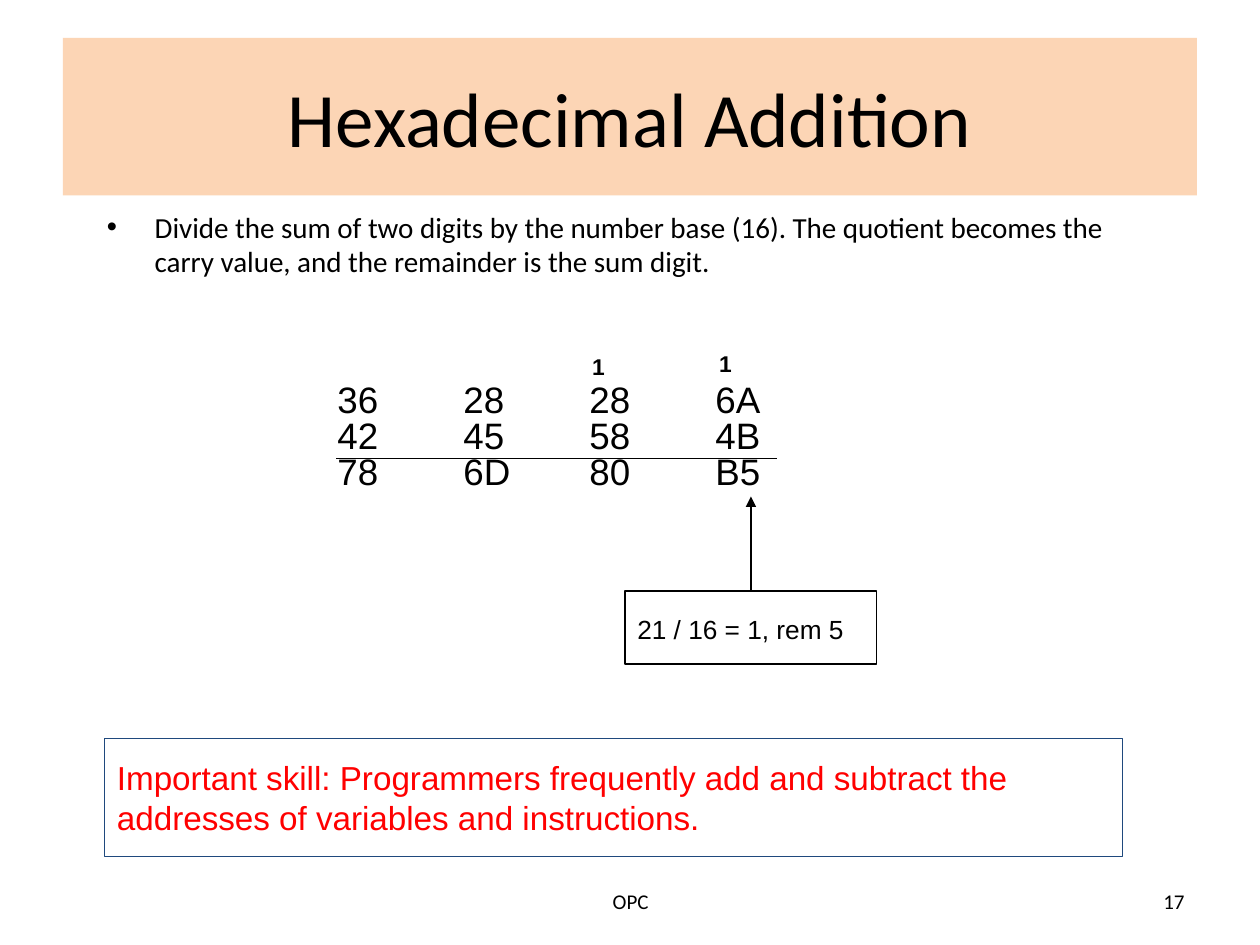
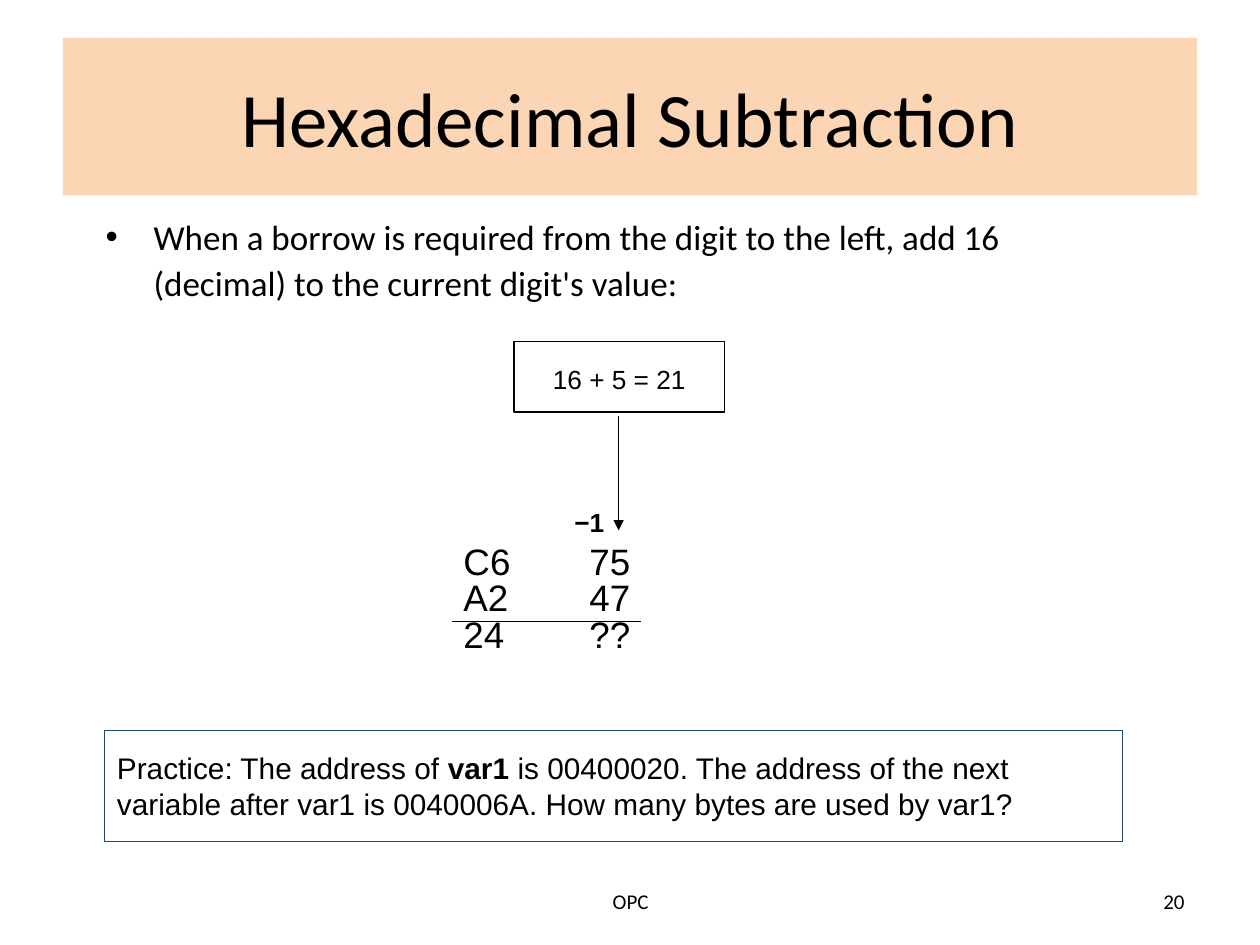
import pptx
import pptx.util
import pptx.dml.color
import pptx.enum.shapes
import pptx.enum.text
import pptx.oxml
import pptx.oxml.ns
from lxml import etree

Inches, Pt = pptx.util.Inches, pptx.util.Pt
ALIGN = pptx.enum.text.PP_ALIGN
ANCHOR = pptx.enum.text.MSO_ANCHOR
SHAPE = pptx.enum.shapes.MSO_SHAPE.RECTANGLE
LINE = pptx.enum.shapes.MSO_CONNECTOR.STRAIGHT

HUES = {"band": "FCD5B5", "ink": "000000", "edge": "1F497D", "alert": "FF0000"}
THIN = Pt(0.75)
PAD = (0.1, 0.15)
FLAT = (0.1, 0.05)
STEP = 1  # inches from one digit column to the next

TITLE = {"name": "Calibri", "size": Pt(44)}
FOOT = {"name": "Calibri", "size": Pt(12)}
DIGIT = {"name": "Arial", "size": Pt(21)}


def arial(size, bold=False):
    return {"name": "Arial", "size": Pt(size), "bold": bold}


def tint(name):
    return pptx.dml.color.RGBColor.from_string(HUES[name])


def apply(item, values):
    for key, value in values.items():
        setattr(item, key, value)


def child(parent, tag, **attrs):
    return etree.SubElement(parent, pptx.oxml.ns.qn(tag), attrs)


def write(shape, paras, font, hue="ink", pad=PAD, anchor=ANCHOR.TOP, para=None, gap=0):
    """Fill a shape with paragraphs, each a list of (text, bold) runs or a string."""
    frame = shape.text_frame
    apply(frame, {
        "word_wrap": True, "vertical_anchor": anchor,
        "margin_left": Inches(pad[0]), "margin_right": Inches(pad[0]),
        "margin_top": Inches(pad[1]), "margin_bottom": Inches(pad[1]),
    })
    for i, runs in enumerate(paras):
        line = frame.add_paragraph() if i else frame.paragraphs[0]
        apply(line, {"alignment": ALIGN.LEFT, **(para or {})})
        if i:
            line.space_before = Pt(gap)
        if isinstance(runs, str):
            runs = [(runs, font.get("bold", False))]
        for text, bold in runs:
            run = line.add_run()
            run.text = text
            apply(run.font, {**font, "bold": bold})
            run.font.color.rgb = tint(hue)
    return shape


def label(slide, box, paras, font, **style):
    shape = slide.shapes.add_textbox(*map(Inches, box))
    return write(shape, paras, font, **style)


def panel(slide, box, paras, font, fill=None, edge=None, **style):
    shape = slide.shapes.add_shape(SHAPE, *map(Inches, box))
    shape.shadow.inherit = False
    if fill:
        shape.fill.solid()
        shape.fill.fore_color.rgb = tint(fill)
    else:
        shape.fill.background()
    if edge:
        shape.line.color.rgb = tint(edge)
        shape.line.width = THIN
    else:
        shape.line.fill.background()
    return write(shape, paras, font, **style)


def stroke(slide, start, end, head=False):
    line = slide.shapes.add_connector(LINE, *map(Inches, (*start, *end)))
    line.line.color.rgb = tint("ink")
    line.line.width = THIN
    props = line._element.spPr
    if head:
        child(props.find(pptx.oxml.ns.qn("a:ln")), "a:tailEnd", type="triangle")
    child(props, "a:effectLst")
    return line


def bullet(slide, box, text, size, pitch):
    shape = label(slide, box, [text], {"name": "Calibri", "size": Pt(size)},
                  pad=FLAT, para={"line_spacing": pitch})
    props = shape.text_frame.paragraphs[0]._p.get_or_add_pPr()
    props.set("marL", str(Inches(0.38)))
    props.set("indent", str(-Inches(0.38)))
    child(props, "a:buFont", typeface="Arial")
    child(props, "a:buChar", char="•")


def sums(slide, box, rows, shift, carries, size):
    """Columns of digits with a rule above the last row and carries on top."""
    left, top, *_ = box
    cols = len(rows[0])
    digits = label(slide, box, ["\t".join(row) for row in rows], DIGIT,
                   para={"line_spacing": 0.4}, gap=10.5)
    for line in digits.text_frame.paragraphs:
        tabs = child(line._p.get_or_add_pPr(), "a:tabLst")
        for col in range(1, cols):
            child(tabs, "a:tab", pos=str(Inches(col * STEP)), algn="l")
    rule = top + 0.62
    start = left + shift
    stroke(slide, (start, rule), (start + (cols - 0.5) * STEP, rule))
    for text, across, rise, wide, high in carries:
        label(slide, (left + across, top - rise, wide, high), [text], arial(size, True))


def note(slide, box, text, align):
    return panel(slide, box, [text], arial(15), edge="ink",
                 para={"alignment": align, "line_spacing": 1.1})


def base(deck, title, number):
    """Add a slide with the title band and the footer."""
    slide = deck.slides.add_slide(deck.slide_layouts[6])
    panel(slide, (0.5, 0.3, 9, 1.25), [title], TITLE, fill="band", pad=FLAT,
          anchor=ANCHOR.MIDDLE, para={"alignment": ALIGN.CENTER})
    for text, left, wide, align in (("OPC", 3.42, 3.17, ALIGN.CENTER),
                                    (number, 7.17, 2.33, ALIGN.RIGHT)):
        label(slide, (left, 6.95, wide, 0.4), [text], FOOT, pad=FLAT,
              anchor=ANCHOR.MIDDLE, para={"alignment": align})
    return slide


def addition(deck):
    slide = base(deck, "Hexadecimal Addition", "17")
    bullet(slide, (0.75, 1.61, 8.5, 0.67),
           "Divide the sum of two digits by the number base (16). The quotient becomes "
           "the carry value, and the remainder is the sum digit.", 16.6, 1.0)
    sums(slide, (2.58, 3.02, 4.25, 1.11),
         [("36", "28", "28", "6A"), ("42", "45", "58", "4B"), ("78", "6D", "80", "B5")],
         0.09, [("1", 3.03, 0.35, 0.31, 0.52), ("1", 2.02, 0.33, 0.31, 0.52)], 13)
    box = note(slide, (4.96, 4.69, 2, 0.58), "21 / 16 = 1, rem 5", ALIGN.LEFT)
    arrow = stroke(slide, (5.96, 4.69), (5.96, 3.94), head=True)
    arrow.begin_connect(box, 0)
    panel(slide, (0.83, 5.86, 8.08, 0.94),
          ["Important skill: Programmers frequently add and subtract the addresses "
           "of variables and instructions."], arial(19), edge="edge", hue="alert")


def subtraction(deck):
    slide = base(deck, "Hexadecimal Subtraction", "20")
    bullet(slide, (0.74, 1.63, 7.75, 0.83),
           "When a borrow is required from the digit to the left, add 16 (decimal) "
           "to the current digit's value:", 20, 1.1)
    sums(slide, (3.58, 4.31, 1.92, 1.07),
         [("C6", "75"), ("A2", "47"), ("24", "??")],
         0.01, [("−1", 0.88, 0.42, 0.58, 0.56)], 15)
    note(slide, (4.08, 2.71, 1.67, 0.56), "16 + 5 = 21", ALIGN.CENTER)
    stroke(slide, (4.91, 3.3), (4.91, 4.21), head=True)
    panel(slide, (0.83, 5.8, 8.08, 0.88),
          [[("Practice: The address of ", False), ("var1", True),
            (" is 00400020. The address of the next variable after var1 is 0040006A. "
             "How many bytes are used by var1?", False)]], arial(17), edge="edge")


def main():
    deck = pptx.Presentation()
    deck.slide_width, deck.slide_height = Inches(10), Inches(7.5)
    addition(deck)
    subtraction(deck)
    deck.save("out.pptx")


if __name__ == "__main__":
    main()
